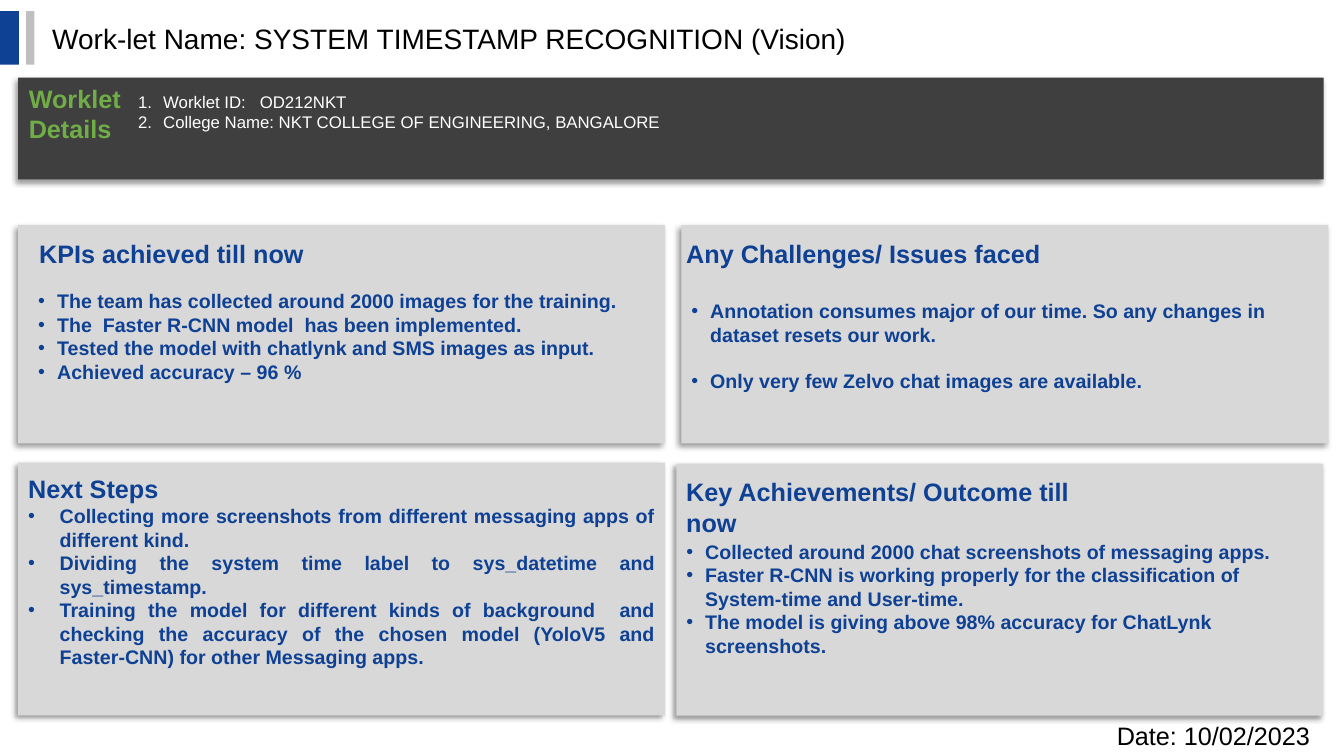
from dataclasses import dataclass

from lxml import etree
from pptx import Presentation
from pptx import util as u
from pptx.dml import color
from pptx.enum import shapes, text
from pptx.oxml import ns

Pt = u.Pt


@dataclass(frozen=True)
class Theme:
    font: str = "Arial"
    blue: str = "0E4094"
    green: str = "70AD47"
    dark: str = "3F3F3F"
    panel: str = "D8D8D8"
    stripe: str = "BFBFBF"
    white: str = "FFFFFF"
    black: str = "000000"
    title: int = 20
    head: int = 18
    body: int = 14
    small: int = 12


T = Theme()
LEFT = text.PP_ALIGN.LEFT
FULL = text.PP_ALIGN.JUSTIFY
MID = text.MSO_ANCHOR.MIDDLE


def rgb(code):
    return color.RGBColor.from_string(code)


def apply(item, vals):
    for name, val in vals.items():
        setattr(item, name, val)


def node(up, tag, **vals):
    kid = etree.SubElement(up, ns.qn(tag))
    for name, val in vals.items():
        kid.set(name, str(val))
    return kid


def rect(slide, box, fill, shade=False):
    shape = slide.shapes.add_shape(shapes.MSO_SHAPE.RECTANGLE, *map(Pt, box))
    shape.shadow.inherit = False
    shape.fill.solid()
    shape.fill.fore_color.rgb = rgb(fill)
    shape.line.fill.background()
    if shade:
        list_ = shape.element.spPr.find(ns.qn("a:effectLst"))
        cast = node(list_, "a:outerShdw", blurRad=Pt(4), dist=Pt(3),
                    dir=135 * 60000, algn="tr", rotWithShape=0)
        tone = node(cast, "a:srgbClr", val=T.black)
        node(tone, "a:alpha", val=40000)


def write(slide, box, lines, size, ink, bold=False, anchor=text.MSO_ANCHOR.TOP,
          align=LEFT, gap=0, hang=0, mark=None, tab=None):
    frame = slide.shapes.add_textbox(*map(Pt, box)).text_frame
    apply(frame, dict(word_wrap=True, vertical_anchor=anchor))
    for i, line in enumerate(lines):
        para = frame.add_paragraph() if i else frame.paragraphs[0]
        apply(para, dict(alignment=align, space_before=Pt(gap if i else 0)))
        run = para.add_run()
        run.text = line
        apply(run.font, dict(name=T.font, size=Pt(size), bold=bold))
        run.font.color.rgb = rgb(ink)
        if mark:
            props = para._p.get_or_add_pPr()
            apply_xml = dict(marL=Pt(hang), indent=-Pt(hang))
            for name, val in apply_xml.items():
                props.set(name, str(val))
            node(node(props, "a:buClr"), "a:srgbClr", val=ink)
            node(props, "a:buFont", typeface=T.font)
            if mark == "1.":
                node(props, "a:buAutoNum", type="arabicPeriod")
            else:
                node(props, "a:buChar", char=mark)
            if tab and "\t" in line:
                node(node(props, "a:tabLst"), "a:tab", pos=Pt(tab), algn="l")


def header(slide, box, name):
    x, y, w, h = box
    rect(slide, (x, y, 13.5, h), T.blue)
    rect(slide, (x + 18.7, y, 5.8, h), T.stripe)
    write(slide, (x + 30.2, y + 3.6, w - 170, 31.5), [name], T.title, T.black, anchor=MID)


def details(slide, box, name, items):
    x, y, w, h = box
    rect(slide, box, T.dark, True)
    write(slide, (x + 0.5, y + 0.5, 131, 29), [name], T.head, T.green, True)
    write(slide, (x + 78.5, y + 6.5, 492, 36), items, T.small, T.white,
          hang=18, mark="1.", tab=87)


def panel(slide, box, name, items, head, body, hang=13.5, gap=0, align=LEFT):
    x, y, w, h = box
    hx, hy, hw = head
    bx, by = body
    rect(slide, box, T.panel, True)
    write(slide, (x + hx, y + hy, hw, 29), [name], T.head, T.blue, True)
    write(slide, (x + bx, y + by, w - bx, h - by), items, T.body, T.blue, True,
          align=align, gap=gap, hang=hang, mark="•")


def footer(slide, box, date):
    write(slide, box, [date], T.head, T.black, anchor=MID)


def build():
    deck = Presentation()
    apply(deck, dict(slide_width=Pt(960), slide_height=Pt(540)))
    slide = deck.slides.add_slide(deck.slide_layouts[6])
    header(slide, (0, 8, 960, 38.2),
           "Work-let Name: SYSTEM TIMESTAMP RECOGNITION (Vision)")
    details(slide, (13, 55.4, 932.4, 72.7), "Worklet Details", [
        "Worklet ID:\tOD212NKT",
        "College Name: NKT COLLEGE OF ENGINEERING, BANGALORE"])
    wide = 462.2
    panel(slide, (13, 160.6, wide, 156.2), "KPIs achieved till now", [
        "The team has collected around 2000 images for the training.",
        "The  Faster R-CNN model  has been implemented.",
        "Tested the model with chatlynk and SMS images as input.",
        "Achieved accuracy – 96 %"],
        (7.9, 5.8, 258), (7.2, 42.4))
    panel(slide, (486.7, 160.6, wide, 156.2), "Any Challenges/ Issues faced", [
        "Annotation consumes major of our time. So any changes in dataset resets our work.",
        "Only very few Zelvo chat images are available."],
        (-3.6, 5.8, 432), (0, 49.4), gap=16.7)
    panel(slide, (13, 330.5, wide, 180.5), "Next Steps", [
        "Collecting more screenshots from different messaging apps of different kind.",
        "Dividing the system time label to sys_datetime and sys_timestamp.",
        "Training the model for different kinds of background  and checking the accuracy "
        "of the chosen model (YoloV5 and Faster-CNN) for other Messaging apps."],
        (0, 4.3, wide), (0, 26), hang=22.5, align=FULL)
    panel(slide, (483.1, 331.2, wide, 180), "Key Achievements/ Outcome till now", [
        "Collected around 2000 chat screenshots of messaging apps.",
        "Faster R-CNN is working properly for the classification of "
        "System-time and User-time.",
        "The model is giving above 98% accuracy for ChatLynk screenshots."],
        (0, 5.8, 293), (0, 50.6))
    footer(slide, (790.6, 511.2, 169.2, 28.8), "Date: 10/02/2023")
    deck.save("out.pptx")


build()
